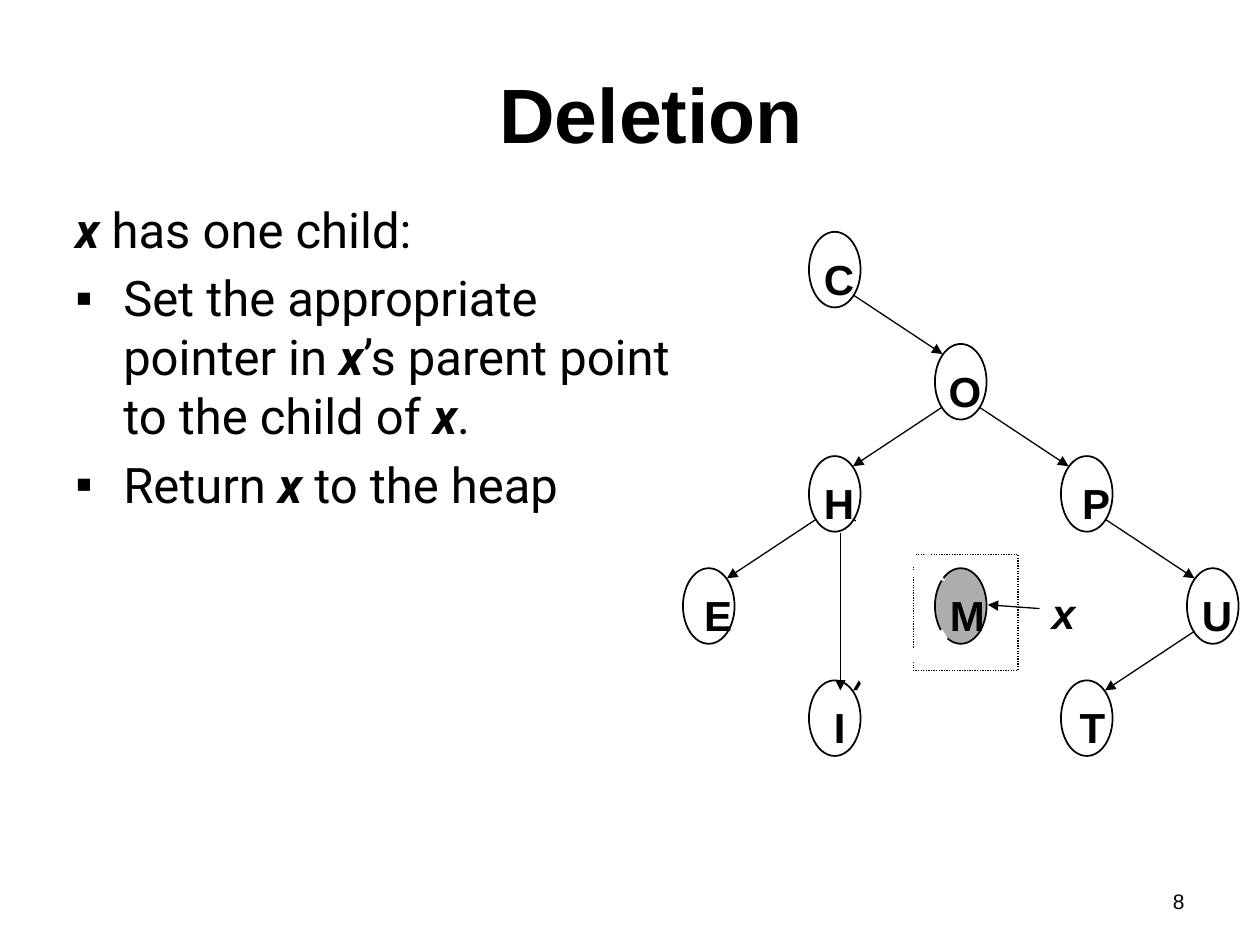
from lxml import etree
from pptx import Presentation
from pptx.dml.color import RGBColor
from pptx.enum import dml, shapes, text
from pptx.oxml.ns import qn
from pptx.util import Inches, Pt

BLACK = RGBColor(0x00, 0x00, 0x00)
WHITE = RGBColor(0xFF, 0xFF, 0xFF)
GRAY = RGBColor(0xAD, 0xAD, 0xAD)

NODE_WIDTH, NODE_HEIGHT = 0.41, 0.6
TREE_LEFT, TREE_TOP = 5.42, 1.84
COLUMN_STEP, ROW_STEP = 1.0, 0.89

deck = Presentation()
deck.slide_width, deck.slide_height = Inches(10), Inches(7.5)
page = deck.slides.add_slide(deck.slide_layouts[6])


def add_text(content, left, top, width, height, size=24, font="Arial", bold=False,
             italic=False, align=text.PP_ALIGN.LEFT, anchor=text.MSO_ANCHOR.TOP,
             inset_top=0.05, space_before=0, hanging=0, bullet=None):
    """Each line is a paragraph, the later ones bulleted; *stars* mark bold italic."""
    box = page.shapes.add_textbox(Inches(left), Inches(top), Inches(width), Inches(height))
    frame = box.text_frame
    frame.word_wrap = True
    frame.vertical_anchor = anchor
    frame.margin_top = Inches(inset_top)
    for index, line in enumerate(content.split("\n")):
        para = frame.paragraphs[0] if index == 0 else frame.add_paragraph()
        para.alignment = align
        if index:
            para.space_before = Pt(space_before)
        if hanging:
            properties = para._p.get_or_add_pPr()
            properties.set("marL", str(Inches(hanging)))
            properties.set("indent", str(-Inches(hanging)))
            if bullet and index:
                etree.SubElement(properties, qn("a:buFont"), typeface="Arial")
                etree.SubElement(properties, qn("a:buChar"), char=bullet)
            else:
                # Without a bullet the first line starts at the left edge.
                etree.SubElement(properties, qn("a:buNone"))
        for position, piece in enumerate(line.split("*")):
            if not piece:
                continue
            emphasis = position % 2 == 1
            span = para.add_run()
            span.text = piece
            span.font.name, span.font.size = font, Pt(size)
            span.font.bold, span.font.italic = bold or emphasis, italic or emphasis
            span.font.color.rgb = BLACK


def add_arrow(start_x, start_y, end_x, end_y, color=BLACK, weight=0.75):
    arrow = page.shapes.add_connector(
        shapes.MSO_CONNECTOR.STRAIGHT,
        Inches(start_x), Inches(start_y), Inches(end_x), Inches(end_y))
    arrow.line.color.rgb, arrow.line.width = color, Pt(weight)
    etree.SubElement(arrow.line._get_or_add_ln(), qn("a:tailEnd"), type="triangle")
    etree.SubElement(arrow._element.spPr, qn("a:effectLst"))


add_text("8", 7.17, 6.95, 2.33, 0.4, size=12, align=text.PP_ALIGN.RIGHT,
         anchor=text.MSO_ANCHOR.MIDDLE)
add_text("Deletion", 0.67, 0.42, 9, 0.95, size=44, bold=True,
         align=text.PP_ALIGN.CENTER, anchor=text.MSO_ANCHOR.MIDDLE)
add_text("*x* has one child:\n"
         "Set the appropriate pointer in *x*’s parent point to the child of *x*.\n"
         "Return *x* to the heap",
         0.5, 1.5, 4.92, 5.25, size=28, font="Roboto", inset_top=0.08,
         space_before=5.6, hanging=0.38, bullet="▪")

# Letter: (column, row, label offset from the node's left edge)
nodes = {
    "C": (1, 0, 0.02), "O": (2, 1, 0.01), "H": (1, 2, 0.02),
    "P": (3, 2, 0.07), "E": (0, 3, 0.07), "M": (2, 3, 0.02),
    "U": (4, 3, 0.02), "I": (1, 4, 0.1), "T": (3, 4, 0.05),
}
corners = {}
for letter, (column, row, label_offset) in nodes.items():
    left, top = TREE_LEFT + column * COLUMN_STEP, TREE_TOP + row * ROW_STEP
    corners[letter] = left, top
    node = page.shapes.add_shape(shapes.MSO_SHAPE.OVAL, Inches(left), Inches(top),
                                 Inches(NODE_WIDTH), Inches(NODE_HEIGHT))
    node.shadow.inherit = False
    node.line.color.rgb, node.line.width = BLACK, Pt(1)
    if letter == "M":
        node.fill.solid()
        node.fill.fore_color.rgb = GRAY
    else:
        node.fill.background()
    add_text(letter, left + label_offset, top + 0.09, 0.55, 0.5, bold=True, inset_top=0.08)

edges = {}
for parent, child in ("CO", "OH", "OP", "HE", "HM", "PU", "UT", "MI"):
    (parent_x, parent_y), (child_x, child_y) = corners[parent], corners[child]
    start_dx, end_dx = (0.35, 0.06) if child_x > parent_x else (0.06, 0.35)
    edges[parent + child] = (parent_x + start_dx, parent_y + 0.5,
                             child_x + end_dx, child_y + 0.08)
    add_arrow(*edges[parent + child])

add_text("x", 8.25, 4.58, 0.55, 0.5, bold=True, italic=True, inset_top=0.08)
add_arrow(8.25, 4.83, 7.84, 4.8)

# The deleted node is framed, its two links are erased and H now points to I.
frame = page.shapes.add_shape(shapes.MSO_SHAPE.RECTANGLE, Inches(7.25), Inches(4.4),
                              Inches(0.83), Inches(0.92))
frame.shadow.inherit = False
frame.fill.background()
frame.line.color.rgb, frame.line.width = BLACK, Pt(0.75)
frame.line.dash_style = dml.MSO_LINE.ROUND_DOT
for erased in ("HM", "MI"):
    add_arrow(*(value + 0.02 for value in edges[erased]), color=WHITE, weight=6)
add_arrow(6.67, 4.23, 6.67, 5.48)

deck.save("out.pptx")
